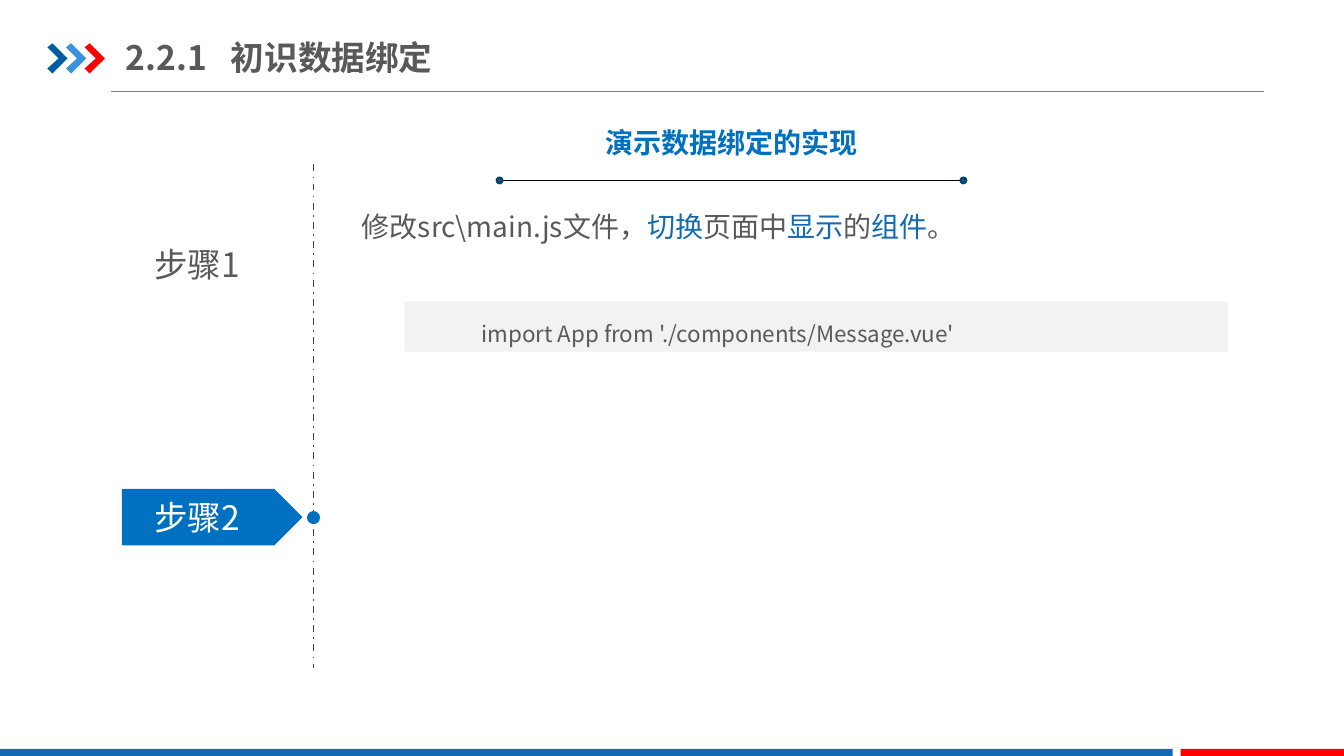
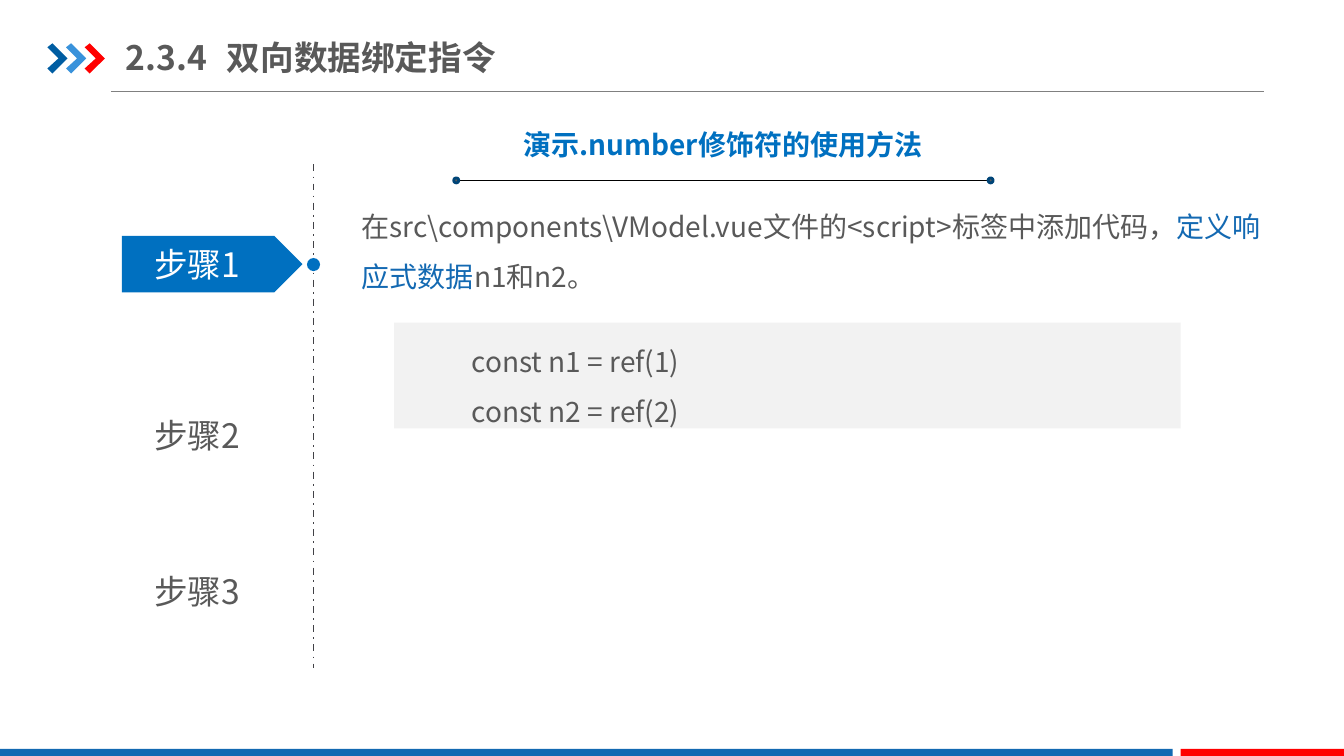
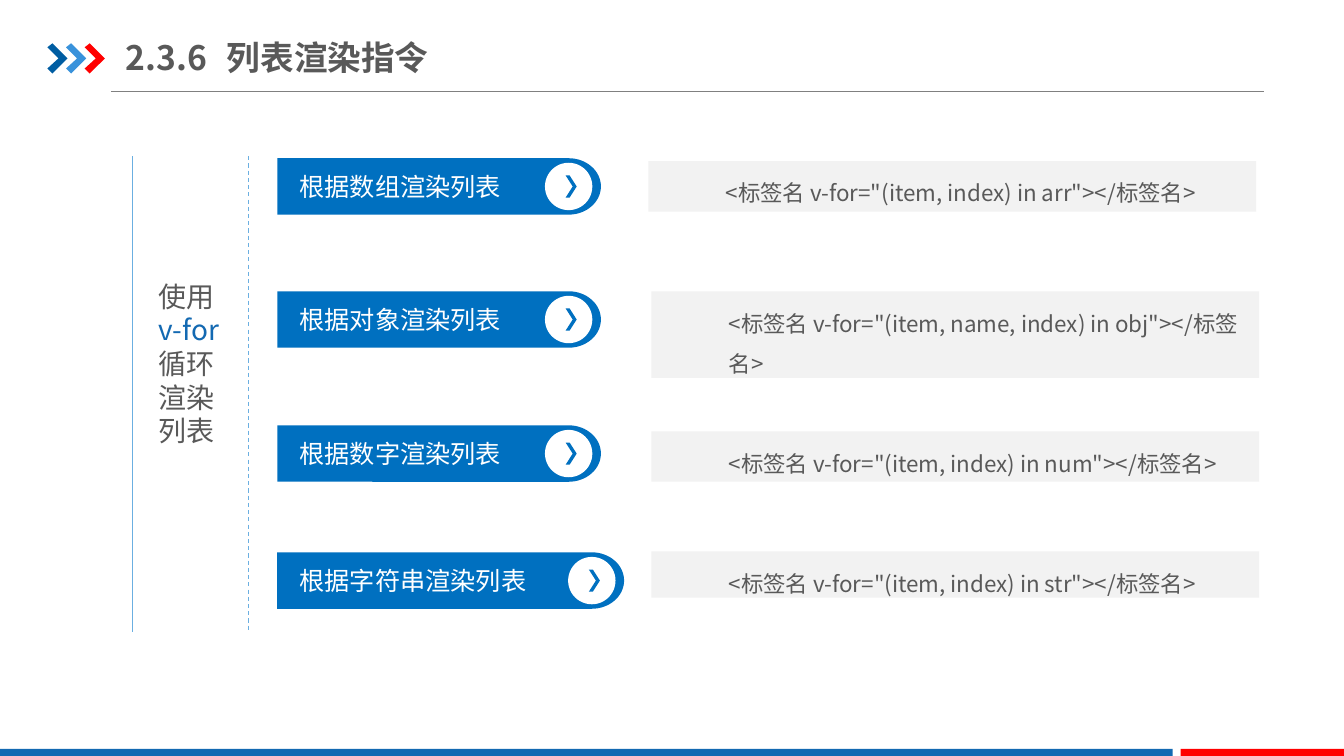
from dataclasses import dataclass
from math import cos, pi, sin

from pptx import Presentation
from pptx import util as u
from pptx.dml.color import RGBColor
from pptx.enum import dml, shapes, text
from pptx.oxml.ns import qn
from lxml import etree


@dataclass(frozen=True)
class Theme:
    font: str = "Noto Sans CJK SC"
    ink: str = "595959"
    accent: str = "0070C0"
    keyword: str = "1369B2"
    white: str = "FFFFFF"
    red: str = "FF0000"
    navy: str = "005DA2"
    sky: str = "3992DB"
    pale: str = "6BAFE1"
    code: str = "F2F2F2"
    rule: str = "808080"
    timeline: str = "414146"
    black: str = "000000"
    ring: str = "004578"
    heading: int = 24
    body: int = 20
    label: int = 18
    small: int = 16


T = Theme()
SHAPE = shapes.MSO_SHAPE
CENTER = text.PP_ALIGN.CENTER
MIDDLE = text.MSO_ANCHOR.MIDDLE
INSETS = (0.1, 0.05, 0.1, 0.05)

STEP_SLIDES = [
    dict(
        number="2.2.1", title="初识数据绑定", title_tab=1.04,
        topic="演示数据绑定的实现", topic_top=1.2, topic_span=(4.93, 9.58), topic_box=(4.93, 4.65),
        steps=[("步骤1", 2.37), ("步骤2", 4.88)], active=1,
        body=[("修改src\\main.js文件，", T.ink), ("切换", T.keyword), ("页面中", T.ink),
              ("显示", T.keyword), ("的", T.ink), ("组件", T.keyword), ("。", T.ink)],
        code=["import App from './components/Message.vue'"],
        code_box=(4.01, 2.99, 8.17, 0.5), code_size=T.small,
    ),
    dict(
        number="2.3.4", title="双向数据绑定指令", title_tab=1,
        topic="演示.number修饰符的使用方法", topic_top=1.22, topic_span=(4.5, 9.85), topic_box=(4.1, 6.14),
        steps=[("步骤1", 2.37), ("步骤2", 4.07), ("步骤3", 5.61)], active=0,
        body=[("在src\\components\\VModel.vue文件的<script>标签中添加代码，", T.ink),
              ("定义响应式数据", T.keyword), ("n1和n2。", T.ink)],
        code=["const n1 = ref(1)", "const n2 = ref(2)"],
        code_box=(3.91, 3.2, 7.8, 1.05), code_size=T.body,
    ),
]

LOOP_SLIDE = dict(
    number="2.3.6", title="列表渲染指令",
    summary=[("使用", T.ink), ("v-for", T.keyword), ("循环渲染列表", T.ink)],
    rows=[
        ("根据数组渲染列表", 1.57, 3.21, '<标签名 v-for="(item, index) in arr"></标签名>', (6.43, 1.6, 6.03, 0.5)),
        ("根据对象渲染列表", 2.89, 3.21, '<标签名 v-for="(item, name, index) in obj"></标签名>', (6.46, 2.89, 6.03, 0.86)),
        ("根据数字渲染列表", 4.22, 3.21, '<标签名 v-for="(item, index) in num"></标签名>', (6.46, 4.28, 6.03, 0.5)),
        ("根据字符串渲染列表", 5.48, 3.44, '<标签名 v-for="(item, index) in str"></标签名>', (6.46, 5.47, 6.03, 0.46)),
    ],
)


def rgb(color):
    return RGBColor.from_string(color)


def paint(shape, fill, line=None, width=0):
    shape.shadow.inherit = False
    shape.fill.solid()
    shape.fill.fore_color.rgb = rgb(fill)
    if line:
        shape.line.color.rgb = rgb(line)
        shape.line.width = u.Pt(width)
    else:
        shape.line.fill.background()
    return shape


def add_block(page, kind, at, fill, **line):
    return paint(page.shapes.add_shape(kind, *map(u.Inches, at)), fill, **line)


def add_outline(page, points, fill):
    points = [(u.Inches(x), u.Inches(y)) for x, y in points]
    builder = page.shapes.build_freeform(*points[0])
    builder.add_line_segments(points[1:], close=True)
    return paint(builder.convert_to_shape(), fill)


def add_line(page, start, end, color, width=0.75, dash=None):
    line = page.shapes.add_connector(
        shapes.MSO_CONNECTOR.STRAIGHT, *map(u.Inches, (*start, *end)))
    line.line.color.rgb = rgb(color)
    line.line.width = u.Pt(width)
    if dash:
        line.line.dash_style = dash
    etree.SubElement(line._element.spPr, qn("a:effectLst"))


def write(box, paragraphs, size=T.body, color=T.ink, bold=False, align=text.PP_ALIGN.LEFT,
          anchor=text.MSO_ANCHOR.TOP, insets=INSETS, spacing=None, indent=0, tab=None):
    frame = box.text_frame
    frame.word_wrap = True
    frame.vertical_anchor = anchor
    for side, inset in zip(("left", "top", "right", "bottom"), insets):
        setattr(frame, f"margin_{side}", u.Inches(inset))
    for index, spans in enumerate(paragraphs):
        para = frame.add_paragraph() if index else frame.paragraphs[0]
        para.alignment = align
        if spacing:
            para.line_spacing = spacing
        props = para._p.get_or_add_pPr()
        if indent:
            para.level = 1
            props.set("marL", str(u.Inches(indent)))
            props.set("indent", "0")
        if tab:
            stops = etree.SubElement(props, qn("a:tabLst"))
            etree.SubElement(stops, qn("a:tab"), pos=str(u.Inches(tab)), algn="l")
        for words, shade in ([(spans, color)] if isinstance(spans, str) else spans):
            span = para.add_run()
            span.text = words
            span.font.size = u.Pt(size)
            span.font.bold = bold
            span.font.color.rgb = rgb(shade)
            span.font.name = T.font
            etree.SubElement(span._r.get_or_add_rPr(), qn("a:ea"), typeface=T.font)


def add_text(page, at, paragraphs, **style):
    write(page.shapes.add_textbox(*map(u.Inches, at)), paragraphs, **style)


def add_code(page, at, lines, size=T.small):
    write(add_block(page, SHAPE.RECTANGLE, at, T.code), lines, size=size, spacing=1.5, indent=0.67)


def add_page(deck, number, title, tab=1):
    page = deck.slides.add_slide(deck.slide_layouts[6])
    add_line(page, (1.1, 0.91), (12.54, 0.91), T.rule)
    for index, color in enumerate((T.navy, T.sky, T.red)):
        left = 0.47 + 0.185 * index
        corners = [(0, 0.47), (0.05, 0.43), (0.2, 0.58), (0.05, 0.73), (0, 0.68), (0.11, 0.58)]
        add_outline(page, [(left + x, y) for x, y in corners], color)
    for left, width, color in ((0, 11.63, T.keyword), (11.71, 1.63, T.red)):
        add_block(page, SHAPE.RECTANGLE, (left, 7.43, width, 0.09), color)
    add_text(page, (1.25, 0.29, 4.26, 0.55), [f"{number}\t{title}"], size=T.heading, bold=True,
             anchor=MIDDLE, insets=(0, 0.07, 0, 0.07), tab=tab)
    return page


def add_topic(page, words, top, span, box):
    left, width = box
    add_text(page, (left, top, width, 0.44), [words], color=T.accent, bold=True, align=CENTER)
    start, end = span
    add_line(page, (start, 1.79), (end, 1.79), T.black)
    for dot_left in (start, end - 0.05):
        add_block(page, SHAPE.OVAL, (dot_left, 1.765, 0.05, 0.05), T.ink, line=T.ring, width=2)


def add_steps(page, steps, active):
    add_line(page, (3.11, 1.63), (3.11, 6.63), T.timeline, 1.25, dml.MSO_LINE.DASH_DOT)
    for index, (label, top) in enumerate(steps):
        if index == active:
            add_block(page, SHAPE.OVAL, (3.045, top + 0.19, 0.13, 0.13), T.accent)
            add_block(page, SHAPE.PENTAGON, (1.21, top - 0.03, 1.79, 0.56), T.accent)
        add_text(page, (1.14, top, 1.63, 0.5), [label], size=T.heading, align=CENTER,
                 color=T.white if index == active else T.ink)


def add_pill(page, label, top, width, left=2.75, height=0.56):
    center_x, center_y = left + width - 0.32, top + height / 2
    angles = [pi * (step / 32 - 0.5) for step in range(33)]
    arc = [(center_x + 0.32 * cos(a), center_y + height / 2 * sin(a)) for a in angles]
    pill = add_outline(page, [(left, top), *arc, (left, top + height)], T.accent)
    write(pill, [label], size=T.label, color=T.white, anchor=MIDDLE, insets=(0.22, 0, 0, 0))
    add_block(page, SHAPE.OVAL, (center_x - 0.235, center_y - 0.235, 0.47, 0.47), T.white)
    arrow = add_block(page, SHAPE.CHEVRON, (center_x - 0.03, center_y - 0.11, 0.11, 0.22), T.accent)
    arrow.adjustments[0] = 0.64


def build_step_slide(deck, content):
    page = add_page(deck, content["number"], content["title"], content["title_tab"])
    add_topic(page, content["topic"], content["topic_top"], content["topic_span"], content["topic_box"])
    add_steps(page, content["steps"], content["active"])
    add_text(page, (3.49, 1.86, 9.24, 1.05), [content["body"]], spacing=1.5)
    add_code(page, content["code_box"], content["code"], content["code_size"])


def build_loop_slide(deck, content):
    page = add_page(deck, content["number"], content["title"])
    for x, dash in ((1.31, None), (2.46, dml.MSO_LINE.DASH)):
        add_line(page, (x, 1.55), (x, 6.27), T.pale, dash=dash)
    add_text(page, (1.47, 2.72, 0.87, 1.78), [content["summary"]])
    for label, top, width, code, code_box in content["rows"]:
        add_pill(page, label, top, width)
        add_code(page, code_box, [code])


def main():
    deck = Presentation()
    deck.slide_width, deck.slide_height = u.Inches(13.33), u.Inches(7.5)
    for content in STEP_SLIDES:
        build_step_slide(deck, content)
    build_loop_slide(deck, LOOP_SLIDE)
    deck.save("out.pptx")


if __name__ == "__main__":
    main()
